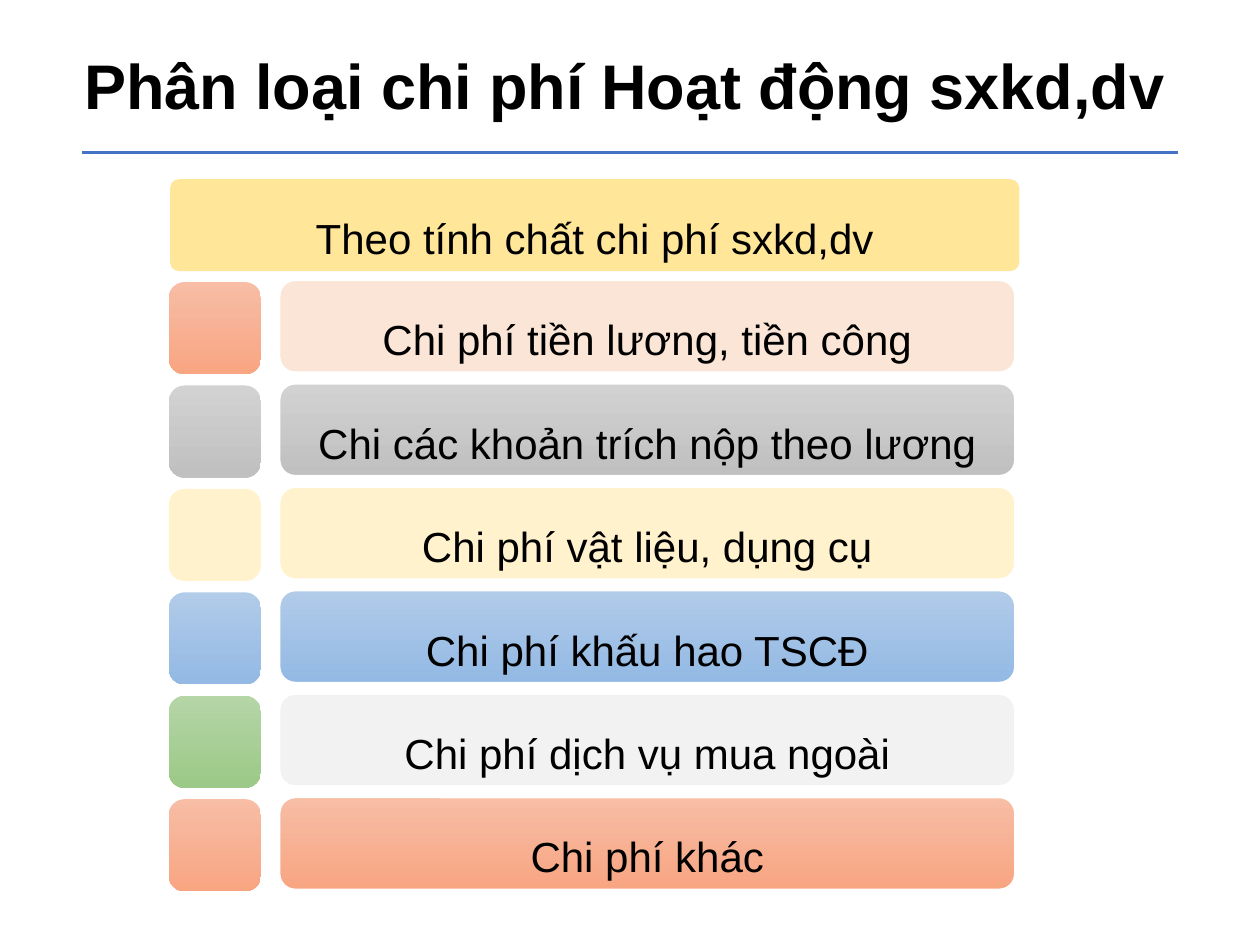
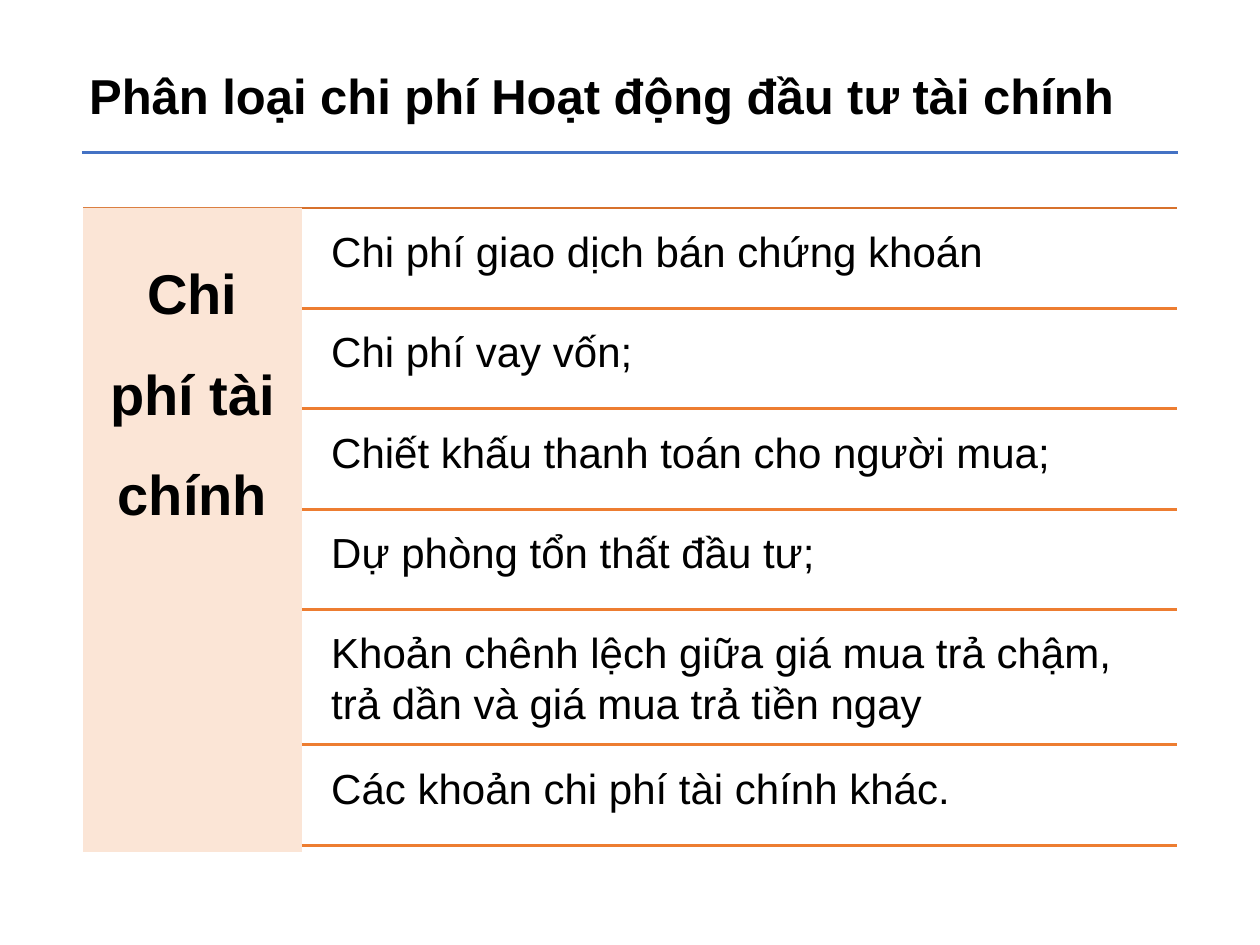
from pptx import Presentation
from pptx.dml.color import RGBColor
from pptx.enum import shapes, text
from pptx.oxml.ns import qn
from pptx.util import Pt
from lxml import etree

COLORS = {
    "text": "000000", "title_rule": "4472C4", "top_rule": "D7712C",
    "row_rule": "ED7D31", "white": "FFFFFF", "gold": "FFE699",
    "peach": "FBE5D6", "cream": "FFF2CC", "light": "F2F2F2",
    "coral_top": "F7BDA5", "coral_end": "F8A582",
    "gray_top": "D2D2D2", "gray_end": "C0C0C0",
    "blue_top": "B1CBE9", "blue_end": "93B9E4",
    "green_top": "B5D5A7", "green_end": "9CC987",
}
CORAL = ("coral_top", "coral_end")
GRAY = ("gray_top", "gray_end")
BLUE = ("blue_top", "blue_end")
GREEN = ("green_top", "green_end")

COSTS = [
    ("Chi phí tiền lương, tiền công", CORAL, "peach"),
    ("Chi các khoản trích nộp theo lương", GRAY, GRAY),
    ("Chi phí vật liệu, dụng cụ", "cream", "cream"),
    ("Chi phí khấu hao TSCĐ", BLUE, BLUE),
    ("Chi phí dịch vụ mua ngoài", GREEN, "light"),
    ("Chi phí khác", CORAL, CORAL),
]
FINANCE_ROWS = [
    ("Chi phí giao dịch bán chứng khoán", 57.4),
    ("Chi phí vay vốn;", 57.4),
    ("Chiết khấu thanh toán cho người mua;", 57.4),
    ("Dự phòng tổn thất đầu tư;", 57.4),
    ("Khoản chênh lệch giữa giá mua trả chậm, trả dần và giá mua trả tiền ngay", 77.2),
    ("Các khoản chi phí tài chính khác.", 57.4),
]


def rgb(name):
    return RGBColor.from_string(COLORS[name])


def write(sp, content, size=24, bold=False, align="LEFT", anchor="TOP",
          spacing=None, inset=(0, 0), wrap=True):
    tf = sp.text_frame
    tf.word_wrap = wrap
    tf.auto_size = text.MSO_AUTO_SIZE.NONE if wrap else text.MSO_AUTO_SIZE.SHAPE_TO_FIT_TEXT
    tf.vertical_anchor = getattr(text.MSO_ANCHOR, anchor)
    tf.margin_left = tf.margin_right = Pt(inset[0])
    tf.margin_top = tf.margin_bottom = Pt(inset[1])
    p = tf.paragraphs[0]
    p.alignment = getattr(text.PP_ALIGN, align)
    if spacing:
        p.line_spacing = spacing
    r = p.add_run()
    r.text = content
    r.font.name, r.font.size, r.font.bold = "Arial", Pt(size), bold
    r.font.color.rgb = rgb("text")


class Deck:
    def __init__(self):
        self.prs = Presentation()
        self.prs.slide_width, self.prs.slide_height = Pt(720), Pt(540)
        self.s = None

    def slide(self):
        self.s = self.prs.slides.add_slide(self.prs.slide_layouts[6])
        self.line(46.8, 673.2, 87.1, "title_rule")

    def title(self, content, x, y, w, h, size):
        self.text(content, x, y, w, h, size=size, bold=True, align="JUSTIFY",
                  inset=(7.2, 3.6), wrap=False)

    def line(self, x1, x2, y, color):
        c = self.s.shapes.add_connector(
            shapes.MSO_CONNECTOR.STRAIGHT, Pt(x1), Pt(y), Pt(x2), Pt(y))
        c.line.color.rgb, c.line.width = rgb(color), Pt(1.5)
        etree.SubElement(c._element.spPr, qn("a:effectLst"))

    def box(self, x, y, w, h, fill, corner=None, outline=None):
        kind = shapes.MSO_SHAPE.ROUNDED_RECTANGLE if corner else shapes.MSO_SHAPE.RECTANGLE
        sp = self.s.shapes.add_shape(kind, Pt(x), Pt(y), Pt(w), Pt(h))
        sp.shadow.inherit = False
        if corner:
            sp.adjustments[0] = corner
        if isinstance(fill, tuple):
            sp.fill.gradient()
            sp.fill.gradient_angle = 270
            for stop, name in zip(sp.fill.gradient_stops, fill):
                stop.color.rgb = rgb(name)
        else:
            sp.fill.solid()
            sp.fill.fore_color.rgb = rgb(fill)
        if outline:
            sp.line.color.rgb, sp.line.width = rgb(outline), Pt(1)
        else:
            sp.line.fill.background()
        return sp

    def text(self, content, x, y, w, h, **fmt):
        sp = self.s.shapes.add_textbox(Pt(x), Pt(y), Pt(w), Pt(h))
        write(sp, content, **fmt)


def operating_costs(deck):
    deck.slide()
    deck.title("Phân loại chi phí Hoạt động sxkd,dv", 41, 23, 638.6, 51.1, 36)
    centered = dict(align="CENTER", anchor="MIDDLE", spacing=1.5)
    side, pitch, corner = 52.6, 59.1, 0.17
    header = deck.box(97.2, 102.4, 485.3, side, "gold", 0.1)
    write(header, "Theo tính chất chi phí sxkd,dv", **centered)
    for i, (label, chip_fill, bar_fill) in enumerate(COSTS):
        y = 160.2 + i * pitch
        deck.box(96.5, y + 1, side, side, chip_fill, corner)
        bar = deck.box(159.8, y, 420.2, side, bar_fill, corner, "white")
        write(bar, label, **centered)


def finance_costs(deck):
    deck.slide()
    left, right, top, panel_width = 47.6, 672.3, 118.8, 124.9
    deck.line(left, right, top, "top_rule")
    panel = deck.box(left, top, panel_width, 368, "peach")
    write(panel, "Chi phí tài chính", size=32, bold=True, align="CENTER",
          spacing=1.5, inset=(9.6, 9.6))
    y, gap = top, 2.7
    for label, height in FINANCE_ROWS:
        deck.text(label, 182.2, y + gap, 490.1, height - gap, inset=(7.2, 7.2))
        y += height
        deck.line(left + panel_width, right, y, "row_rule")
    deck.title("Phân loại chi phí Hoạt động đầu tư tài chính", 43.9, 33.8, 607, 41, 28)


def main():
    deck = Deck()
    operating_costs(deck)
    finance_costs(deck)
    deck.prs.save("out.pptx")


if __name__ == "__main__":
    main()
